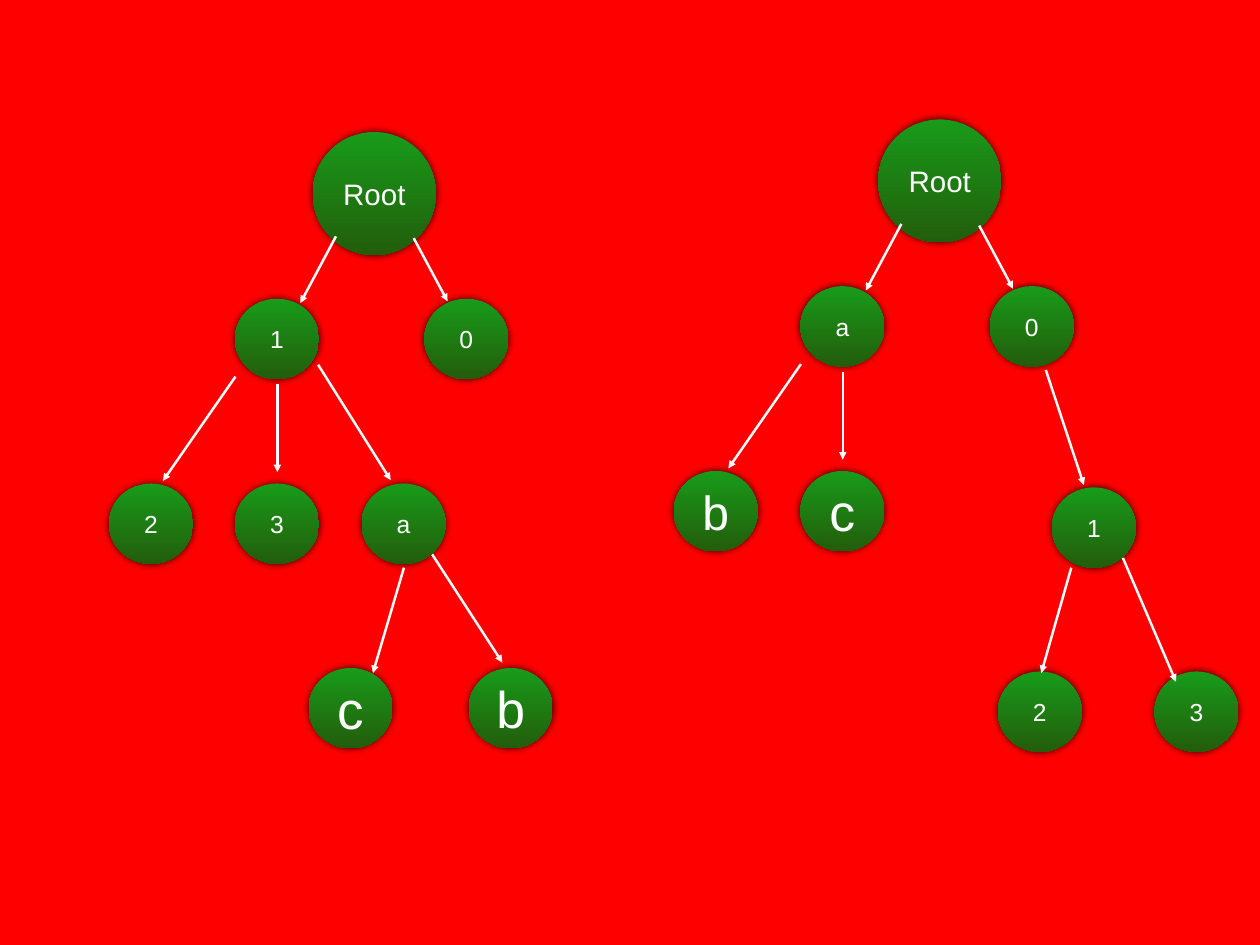
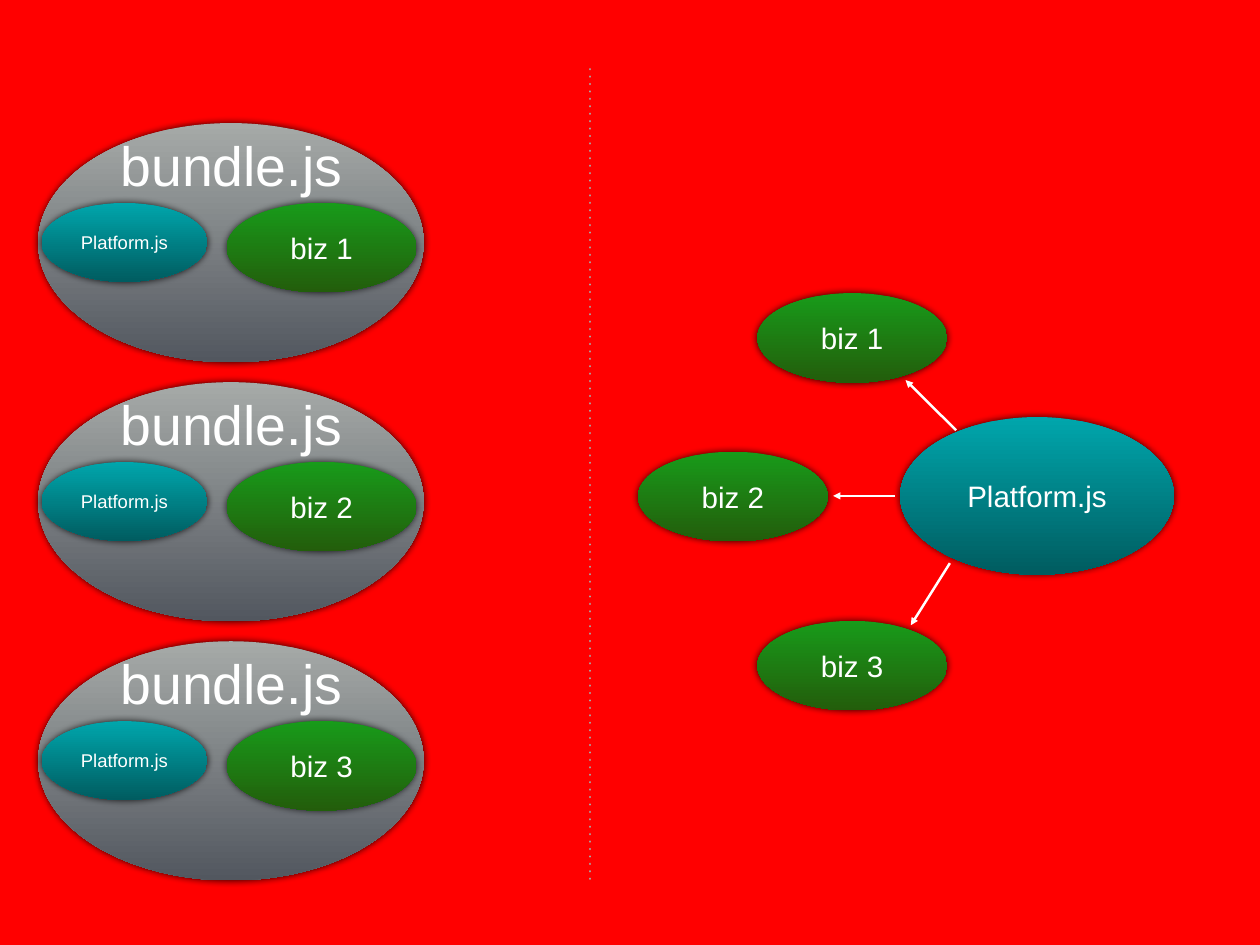
from lxml import etree
from pptx import Presentation
from pptx.dml.color import RGBColor
from pptx.enum import shapes as es, text as et
from pptx.oxml.ns import qn
from pptx.util import Cm, Pt

RED = RGBColor(0xFF, 0x00, 0x00)
WHITE = RGBColor(0xFF, 0xFF, 0xFF)
SILVER = RGBColor(0xA6, 0xAA, 0xA8)
GREEN = RGBColor(0x18, 0x9B, 0x1A), RGBColor(0x23, 0x5D, 0x0B)
TEAL = RGBColor(0x00, 0xA6, 0xAC), RGBColor(0x00, 0x5C, 0x60)
GREY = SILVER, RGBColor(0x52, 0x57, 0x5F)
FONT = "Arial"

ROOT = 3.53, 3.53
NODE = 2.41, 2.31
BIZ = 5.44, 2.57
HUB = 7.85, 4.52
CORE = 4.75, 2.26
SHELL = 11.05, 6.86
LABEL = 6.86, 2.18
PITCH = 7.43

SHARED = [
    ((-1.1, 1.23), (-2.12, 3.14)),
    ((1.13, 1.28), (2.1, 3.09)),
    ((-3.98, 5.25), (-6.06, 8.24)),
    ((-2.78, 5.47), (-2.78, 7.99)),
]
TREES = [
    {
        "root": (10.73, 5.55),
        "nodes": [
            ("1", -2.79, 4.17, 20), ("0", 2.64, 4.17, 20),
            ("2", -6.4, 9.47, 20), ("3", -2.79, 9.47, 20),
            ("a", 0.84, 9.47, 20),
            ("c", -0.68, 14.76, 43), ("b", 3.91, 14.76, 42),
        ],
        "links": [
            ((-1.61, 4.91), (0.47, 8.22)),
            ((0.85, 10.73), (-0.04, 13.75)),
            ((1.66, 10.35), (3.67, 13.45)),
        ],
    },
    {
        "root": (26.94, 5.19),
        "nodes": [
            ("a", -2.79, 4.17, 20), ("0", 2.64, 4.17, 20),
            ("b", -6.42, 9.47, 39), ("c", -2.79, 9.47, 42),
            ("1", 4.42, 9.94, 20),
            ("2", 2.87, 15.22, 20), ("3", 7.36, 15.22, 20),
        ],
        "links": [
            ((3.04, 5.42), (4.13, 8.72)),
            ((3.77, 11.09), (2.91, 14.11)),
            ((5.25, 10.81), (6.77, 14.36)),
        ],
    },
]
PARTS = [
    ("biz 1", (24.43, 9.69), (27.41, 12.34), (25.96, 10.9)),
    ("biz 2", (21.01, 14.24), (25.65, 14.22), (23.88, 14.22)),
    ("biz 3", (24.43, 19.09), (27.23, 16.15), (26.11, 17.93)),
]


def frame(mid, size):
    (x, y), (w, h) = mid, size
    return Cm(x - w / 2), Cm(y - h / 2), Cm(w), Cm(h)


def write(shape, words, size):
    box = shape.text_frame
    box.margin_left = box.margin_right = Cm(0.15)
    box.margin_top = box.margin_bottom = Cm(0.15)
    box.vertical_anchor = et.MSO_ANCHOR.MIDDLE
    box.text = words
    line = box.paragraphs[0]
    line.alignment = et.PP_ALIGN.CENTER
    font = line.runs[0].font
    font.name, font.size, font.color.rgb = FONT, Pt(size), WHITE
    return box


def oval(host, mid, size, tones, words="", points=24):
    shape = host.add_shape(es.MSO_SHAPE.OVAL, *frame(mid, size))
    shape.fill.gradient()
    shape.fill.gradient_angle = 270
    for stop, tone in zip(shape.fill.gradient_stops, tones):
        stop.color.rgb = tone
    shape.line.fill.background()
    shape.shadow.inherit = False
    glow = etree.SubElement(
        shape.element.spPr.find(qn("a:effectLst")), qn("a:outerShdw"),
        blurRad=str(Pt(6)), dist="0", dir="18900000", rotWithShape="0")
    tint = etree.SubElement(glow, qn("a:srgbClr"), val="000000")
    etree.SubElement(tint, qn("a:alpha"), val="80000")
    if words:
        write(shape, words, points)


def stroke(host, start, end, color):
    ends = [Cm(v) for v in (*start, *end)]
    line = host.add_connector(es.MSO_CONNECTOR.STRAIGHT, *ends)
    line.line.color.rgb = color
    line.line.width = Pt(2)
    props = line.element.spPr
    etree.SubElement(props, qn("a:effectLst"))
    return props.find(qn("a:ln"))


def arrow(host, start, end):
    pen = stroke(host, start, end, WHITE)
    etree.SubElement(pen, qn("a:tailEnd"), type="triangle")


def divide(host, start, end):
    pen = stroke(host, start, end, SILVER)
    pen.set("cap", "rnd")
    dash = etree.SubElement(pen, qn("a:custDash"))
    etree.SubElement(dash, qn("a:ds"), d="100000", sp="200000")


def grow(host, tree):
    def place(x, y):
        return tree["root"][0] + x, tree["root"][1] + y

    oval(host, tree["root"], ROOT, GREEN, "Root")
    for words, x, y, points in tree["nodes"]:
        oval(host, place(x, y), NODE, GREEN, words, points)
    for start, end in SHARED + tree["links"]:
        arrow(host, place(*start), place(*end))


def bundle(host, words, drop):
    group = host.add_group_shape().shapes
    oval(group, (6.62, 6.96 + drop), SHELL, GREY)
    oval(group, (3.57, 6.95 + drop), CORE, TEAL, "Platform.js", 15)
    label = group.add_textbox(*frame((6.63, 4.7 + drop), LABEL))
    box = write(label, "bundle.js", 45)
    box.word_wrap = False
    box.auto_size = et.MSO_AUTO_SIZE.SHAPE_TO_FIT_TEXT
    oval(group, (9.22, 7.1 + drop), BIZ, GREEN, words)


def main():
    deck = Presentation()
    deck.slide_width, deck.slide_height = Cm(36.12), Cm(27.1)
    back = deck.slide_master.background.fill
    back.solid()
    back.fore_color.rgb = RED
    blank = deck.slide_layouts[6]

    host = deck.slides.add_slide(blank).shapes
    for tree in TREES:
        grow(host, tree)

    host = deck.slides.add_slide(blank).shapes
    for words, mid, start, end in PARTS:
        oval(host, mid, BIZ, GREEN, words)
    oval(host, (29.73, 14.22), HUB, TEAL, "Platform.js")
    for row, (words, mid, start, end) in enumerate(PARTS):
        bundle(host, words, row * PITCH)
        arrow(host, start, end)
    divide(host, (16.92, 25.2), (16.92, 1.9))
    deck.save("out.pptx")


if __name__ == "__main__":
    main()
